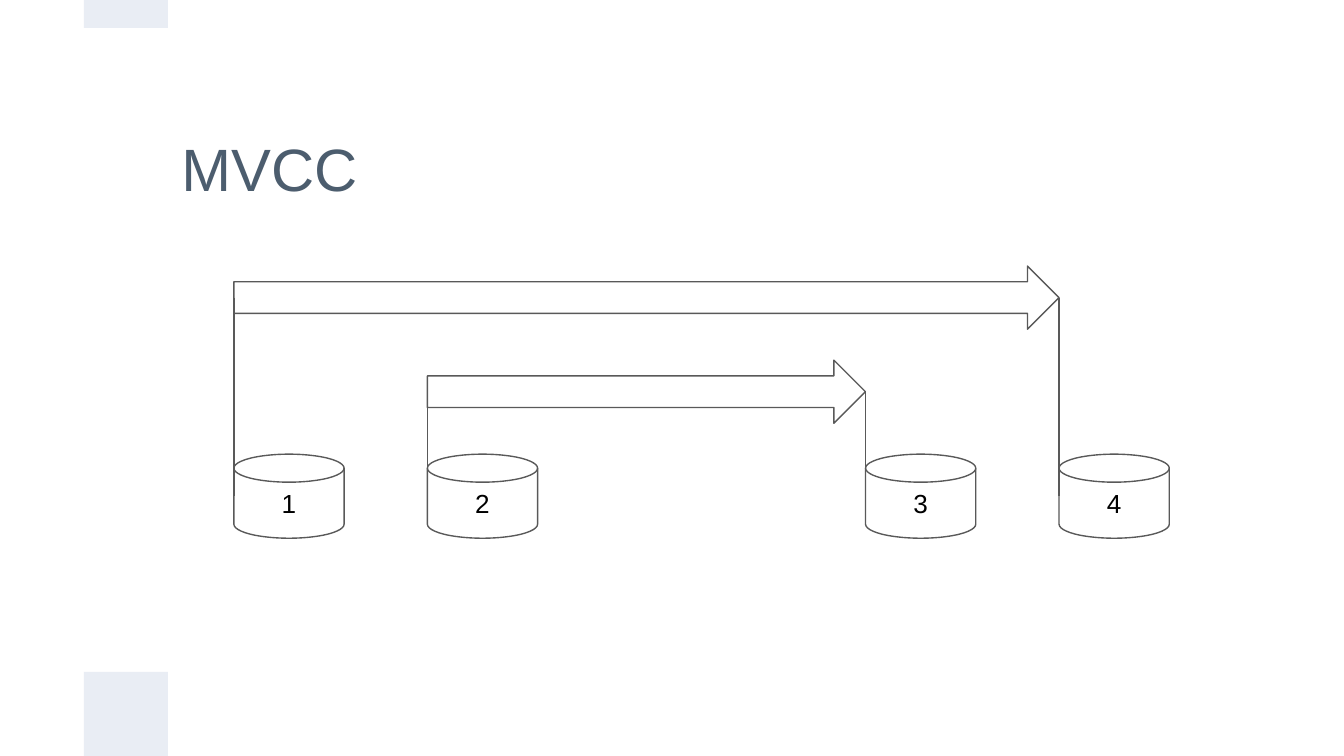
from dataclasses import dataclass

from lxml.etree import SubElement
from pptx import Presentation
from pptx.dml.color import RGBColor
from pptx.enum.shapes import MSO_CONNECTOR, MSO_SHAPE
from pptx.enum.text import MSO_ANCHOR, MSO_AUTO_SIZE, PP_ALIGN
from pptx.oxml.ns import qn
from pptx.util import Inches, Pt

WIDTH = 10
UNIT = WIDTH / 16
HEIGHT = 9 * UNIT
DISK_TOP, DISK_WIDTH = 3.38, 0.82
ARROW_HEIGHT = 0.47
INK, BAND, TITLE, BLACK = "595959", "E9EDF4", "4C5D6E", "000000"


@dataclass
class Transaction:
    """An arrow spanning from one version disk to another."""
    top: float
    start: float
    end: float
    labels: tuple[str, str]


TRANSACTIONS = [
    Transaction(1.98, 1.74, 7.88, ("1", "4")),
    Transaction(2.68, 3.18, 6.44, ("2", "3")),
]


def rgb(value: str) -> RGBColor:
    """Turn a hex string into a colour."""
    return RGBColor.from_string(value)


def add_text(tf, text: str, size: float, color: str, align: PP_ALIGN) -> None:
    """Write one middle-anchored run with even insets."""
    tf.margin_left = tf.margin_right = Inches(0.1)
    tf.margin_top = tf.margin_bottom = Inches(0.1)
    tf.vertical_anchor = MSO_ANCHOR.MIDDLE
    tf.word_wrap = True
    tf.auto_size = MSO_AUTO_SIZE.NONE
    p = tf.paragraphs[0]
    p.alignment = align
    r = p.add_run()
    r.text = text
    r.font.name, r.font.size = "Arial", Pt(size)
    r.font.color.rgb = rgb(color)


def add_shape(s, kind: MSO_SHAPE, box: tuple, fill: str | None = None):
    """Add a filled shape without a line, or an outlined one without a fill."""
    sp = s.shapes.add_shape(kind, *map(Inches, box))
    sp.shadow.inherit = False
    if fill:
        sp.fill.solid()
        sp.fill.fore_color.rgb = rgb(fill)
        sp.line.fill.background()
    else:
        sp.fill.background()
        sp.line.color.rgb = rgb(INK)
        sp.line.width = Pt(0.75)
    return sp


def add_drop(s, x: float, top: float) -> None:
    """Draw a vertical line from an arrow to the middle of a disk."""
    points = (x, top, x, DISK_TOP + UNIT / 2)
    cxn = s.shapes.add_connector(MSO_CONNECTOR.STRAIGHT, *map(Inches, points))
    cxn.line.color.rgb = rgb(INK)
    cxn.line.width = Pt(0.75)
    SubElement(cxn._element.spPr, qn("a:effectLst"))


def add_transaction(s, t: Transaction) -> None:
    """Draw an arrow with the disk and drop line at each end."""
    add_shape(s, MSO_SHAPE.RIGHT_ARROW,
              (t.start, t.top, t.end - t.start, ARROW_HEIGHT))
    for x, label in zip((t.start, t.end), t.labels):
        disk = add_shape(s, MSO_SHAPE.FLOWCHART_MAGNETIC_DISK,
                         (x, DISK_TOP, DISK_WIDTH, UNIT))
        add_text(disk.text_frame, label, 14, BLACK, PP_ALIGN.CENTER)
        add_drop(s, x, t.top + ARROW_HEIGHT / 2)


def add_title(s, text: str) -> None:
    """Place the title and remove the unused subtitle."""
    title, subtitle = s.placeholders
    subtitle._element.getparent().remove(subtitle._element)
    title.left, title.top = Inches(2 * UNIT), Inches(UNIT)
    title.width, title.height = Inches(12 * UNIT), Inches(2 * UNIT)
    add_text(title.text_frame, text, 32, TITLE, PP_ALIGN.LEFT)


def main() -> None:
    """Build and save the slide."""
    prs = Presentation()
    prs.slide_width, prs.slide_height = Inches(WIDTH), Inches(HEIGHT)
    s = prs.slides.add_slide(prs.slide_layouts[0])
    add_title(s, "MVCC")
    for top, height in ((HEIGHT - UNIT, UNIT), (0, UNIT / 3)):
        add_shape(s, MSO_SHAPE.RECTANGLE, (UNIT, top, UNIT, height), BAND)
    for t in TRANSACTIONS:
        add_transaction(s, t)
    prs.save("out.pptx")


main()
